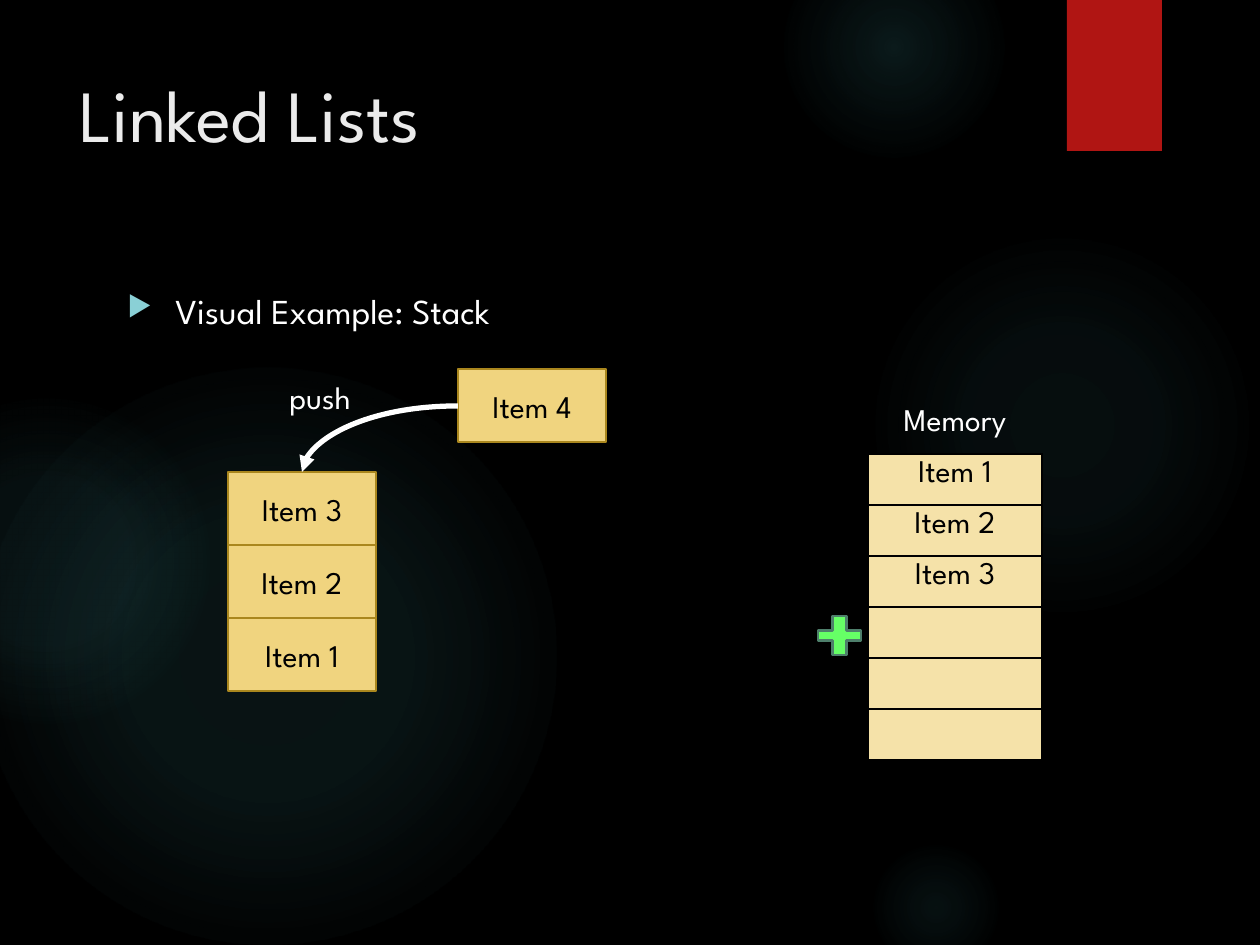
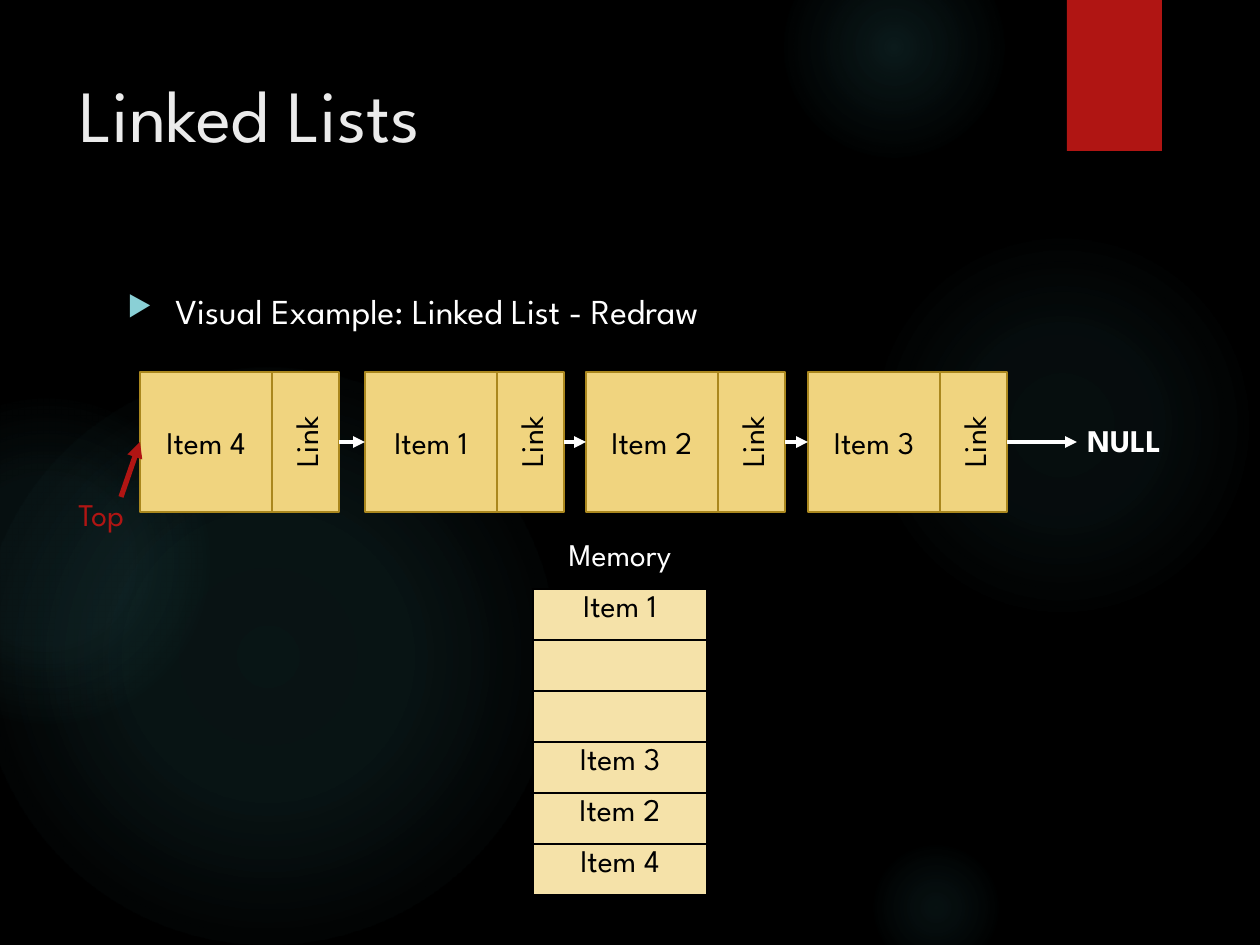
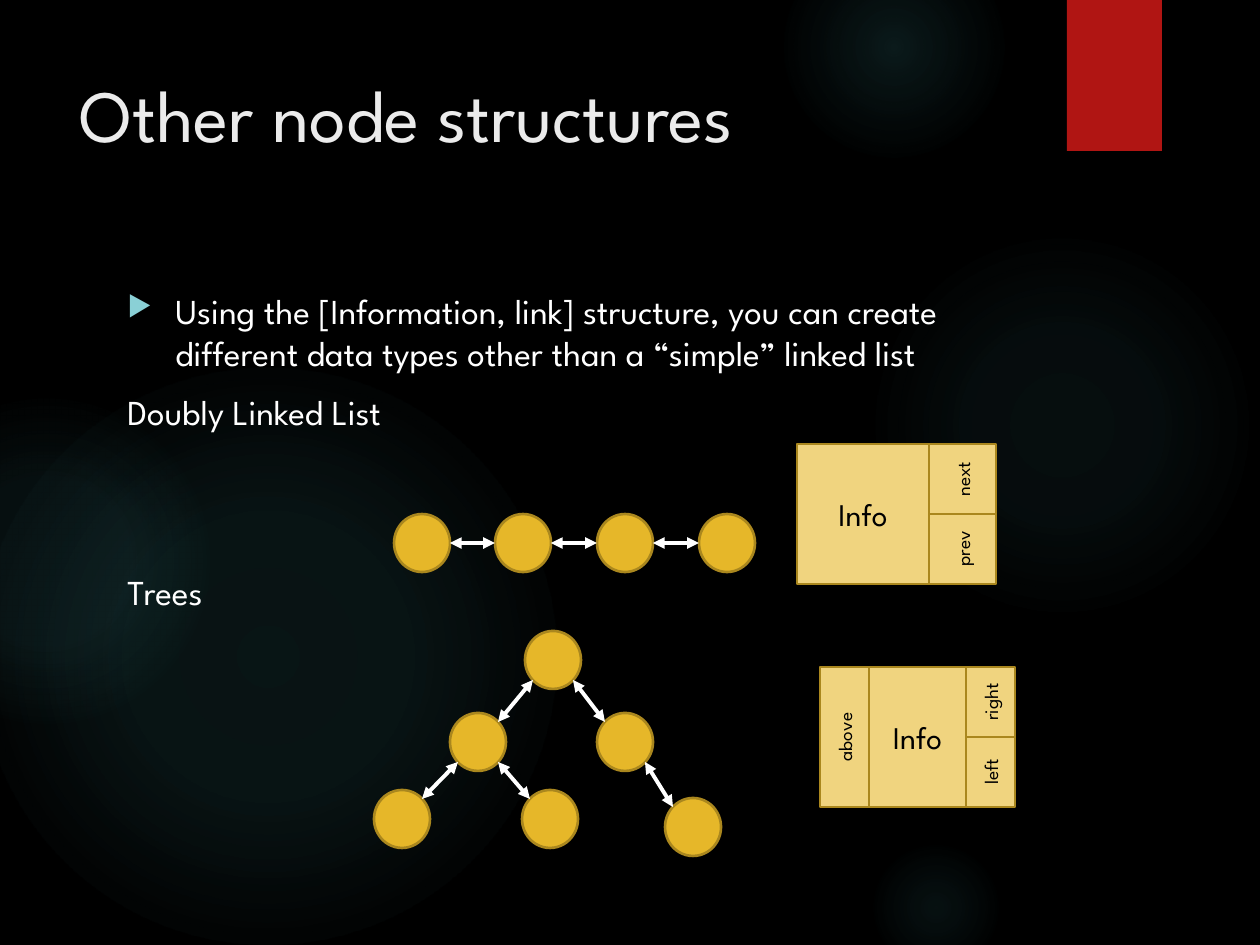
from dataclasses import dataclass

from pptx import Presentation
from pptx.dml.color import RGBColor
from pptx.enum.shapes import MSO_CONNECTOR as Link, MSO_SHAPE as Shape
from pptx.enum.text import MSO_ANCHOR as Anchor, PP_ALIGN as Align
from pptx.oxml import parse_xml
from pptx.oxml.ns import nsdecls
from pptx.util import Pt

EMU_PER_PX = 914400 / 126
NO_GRID_STYLE = "{2D5ABB26-0587-4C30-8999-92F81FD0307C}"


@dataclass(frozen=True)
class Theme:
    font: str = "League Spartan"
    background: str = "000000"
    glow: str = "50B9C1"
    accent: str = "B01513"
    title: str = "EBEBEB"
    light: str = "FFFFFF"
    dark: str = "000000"
    bullet: str = "8AD0D6"
    box: str = "F0D47F"
    memory: str = "F5E2A9"
    node: str = "E6B729"
    edge: str = "AA871E"
    plus: str = "66FF66"
    plus_edge: str = "4E7F6B"
    title_size: int = 42
    body_size: int = 20
    label_size: int = 18
    small_size: int = 11


THEME = Theme()

# left, top, diameter, then (position %, opacity %) of each gradient stop
GLOWS = [
    (868, 231, 388, [(0, 7), (36, 6), (69, 0)]),
    (784, -63, 220, [(0, 14), (36, 7), (73, 0)]),
    (868, 840, 136, [(0, 9), (36, 5), (66, 0)]),
    (-21, 368, 577, [(0, 11), (36, 10), (75, 0)]),
    (-116, 399, 325, [(0, 8), (36, 8), (72, 0)]),
]


def emu(*lengths):
    return [round(length * EMU_PER_PX) for length in lengths]


def rgb(code):
    return RGBColor.from_string(code)


def xml(tag, attributes="", content=""):
    return parse_xml(f"<a:{tag} {nsdecls('a')} {attributes}>{content}</a:{tag}>")


def color_xml(code):
    return f'<a:solidFill><a:srgbClr val="{code}"/></a:solidFill>'


def write(para, text, *, size=THEME.label_size, color=THEME.light, bold=False, align=Align.LEFT):
    para.alignment = align
    span = para.add_run()
    span.text = text
    span.font.name = THEME.font
    span.font.size = Pt(size)
    span.font.bold = bold
    span.font.color.rgb = rgb(color)


def add_bullet(para):
    indent, = emu(48)
    props = para._p.get_or_add_pPr()
    props.set("marL", str(indent))
    props.set("indent", str(-indent))
    props.append(xml("buClr", content=f'<a:srgbClr val="{THEME.bullet}"/>'))
    props.append(xml("buSzPct", 'val="80000"'))
    props.append(xml("buChar", 'char="▶"'))


class Painter:
    def __init__(self):
        self.deck = Presentation()
        self.deck.slide_width, self.deck.slide_height = emu(1260, 945)
        self.page = None

    def new_page(self, title):
        self.page = self.deck.slides.add_slide(self.deck.slide_layouts[6])
        fill = self.page.background.fill
        fill.solid()
        fill.fore_color.rgb = rgb(THEME.background)
        for glow in GLOWS:
            self.glow(*glow)
        self.shape(Shape.RECTANGLE, 1067, 0, 95, 151, THEME.accent)
        self.text(title, 67, 63, 973, 193, size=THEME.title_size, color=THEME.title)

    def shape(self, kind, left, top, width, height, fill=None, edge=None):
        shape = self.page.shapes.add_shape(kind, *emu(left, top, width, height))
        shape.shadow.inherit = False
        if fill:
            shape.fill.solid()
            shape.fill.fore_color.rgb = rgb(fill)
        if edge:
            shape.line.color.rgb = rgb(edge)
            shape.line.width = Pt(1.5)
        else:
            shape.line.fill.background()
        return shape

    def glow(self, left, top, diameter, stops):
        shape = self.shape(Shape.OVAL, left, top, diameter, diameter)
        stops_xml = "".join(
            f'<a:gs pos="{position * 1000}"><a:srgbClr val="{THEME.glow}">'
            f'<a:alpha val="{opacity * 1000}"/></a:srgbClr></a:gs>'
            for position, opacity in stops)
        center = '<a:fillToRect l="50000" t="50000" r="50000" b="50000"/>'
        shape._element.spPr.insert(2, xml(
            "gradFill", 'rotWithShape="1"',
            f'<a:gsLst>{stops_xml}</a:gsLst><a:path path="circle">{center}</a:path>'))

    def text_frame(self, left, top, width, height):
        frame = self.page.shapes.add_textbox(*emu(left, top, width, height)).text_frame
        frame.word_wrap = True
        return frame

    def text(self, text, left, top, width, height, **style):
        write(self.text_frame(left, top, width, height).paragraphs[0], text, **style)

    def body(self, bullet, *headings):
        """Write a bulleted line, then plain headings given as (text, points before)."""
        frame = self.text_frame(115, 283, 925, 578)
        para = frame.paragraphs[0]
        write(para, bullet, size=THEME.body_size)
        para.space_before = Pt(10)
        add_bullet(para)
        for heading, gap in headings:
            para = frame.add_paragraph()
            para.space_before = Pt(gap)
            write(para, heading, size=THEME.body_size)

    def box(self, text, left, top, width, height, size=THEME.label_size, upward=False):
        box = self.shape(Shape.RECTANGLE, left, top, width, height, THEME.box, THEME.edge)
        frame = box.text_frame
        frame.word_wrap = True
        frame.vertical_anchor = Anchor.MIDDLE
        if upward:
            frame._txBody.bodyPr.set("vert", "vert270")
        write(frame.paragraphs[0], text, size=size, color=THEME.dark, align=Align.CENTER)
        return box

    def node(self, left, top):
        self.shape(Shape.OVAL, left, top, NODE_WIDTH, NODE_HEIGHT, THEME.node, THEME.edge)

    def arrow(self, start, end, *, kind=Link.STRAIGHT, color=THEME.light, width=2.25,
              both=False, source=None, target=None):
        """Join the right side of source to the left side of target when they are given."""
        arrow = self.page.shapes.add_connector(kind, *emu(*start, *end))
        if source:
            arrow.begin_connect(source, 3)
        if target:
            arrow.end_connect(target, 1)
        arrow.line.color.rgb = rgb(color)
        arrow.line.width = Pt(width)
        line = arrow.line._get_or_add_ln()
        if both:
            line.append(xml("headEnd", 'type="triangle"'))
        line.append(xml("tailEnd", 'type="triangle"'))
        arrow._element.spPr.append(xml("effectLst"))
        return arrow

    def memory(self, left, top, items):
        """Draw the memory column, with an empty column on each side."""
        widths = (116, 174, 111)
        row_height = 51
        rows = ["Memory", *items]
        table = self.page.shapes.add_table(
            len(rows), len(widths),
            *emu(left, top, sum(widths), row_height * len(rows))).table
        table.first_row = table.horz_banding = False
        table._tbl.tblPr[0].text = NO_GRID_STYLE
        for column, width in zip(table.columns, emu(*widths)):
            column.width = width
        for number, text in enumerate(rows):
            table.rows[number].height, = emu(row_height)
            for column in (0, 2):
                table.cell(number, column).fill.background()
            cell = table.cell(number, 1)
            if number:
                props = cell._tc.get_or_add_tcPr()
                for side in "LRTB":
                    props.append(xml(f"ln{side}", 'w="12700"', color_xml(THEME.dark)))
                cell.fill.solid()
                cell.fill.fore_color.rgb = rgb(THEME.memory)
            else:
                cell.fill.background()
            if text:
                write(cell.text_frame.paragraphs[0], text, align=Align.CENTER,
                      color=THEME.dark if number else THEME.light)


NODE_WIDTH, NODE_HEIGHT = 56, 58
ITEM_WIDTH, LINK_WIDTH, RECORD_HEIGHT = 132, 67, 140


def stack_page(painter):
    painter.new_page("Linked Lists")
    painter.body("Visual Example: Stack")
    width, height = 148, 73
    for row, text in enumerate(["Item 3", "Item 2", "Item 1"]):
        painter.box(text, 228, 472 + row * height, width, height)
    painter.memory(752, 403, ["Item 1", "Item 2", "Item 3", "", "", ""])
    painter.box("Item 4", 458, 369, width, height)
    push = painter.arrow((458, 406), (302, 472), kind=Link.CURVE, width=3)
    push._element.spPr.prstGeom.set("prst", "curvedConnector2")
    painter.text("push", 277, 372, 155, 50)
    plus = painter.shape(Shape.CROSS, 818, 616, 43, 39, THEME.plus, THEME.plus_edge)
    plus.adjustments[0] = 0.37


def linked_list_page(painter):
    painter.new_page("Linked Lists")
    painter.body("Visual Example: Linked List - Redraw")
    painter.memory(417, 538, ["Item 1", "", "", "Item 3", "Item 2", "Item 4"])
    top = 372
    middle = top + RECORD_HEIGHT // 2
    link = None
    for text, left in [("Item 4", 140), ("Item 1", 365), ("Item 2", 586), ("Item 3", 808)]:
        item = painter.box(text, left, top, ITEM_WIDTH, RECORD_HEIGHT)
        if link:
            painter.arrow((left, middle), (left, middle), source=link, target=item)
        else:
            painter.arrow((121, 497), (left, middle), color=THEME.accent, width=3, target=item)
        link = painter.box("Link", left + ITEM_WIDTH, top, LINK_WIDTH, RECORD_HEIGHT, upward=True)
    painter.arrow((1008, middle), (1077, middle), source=link)
    painter.text("NULL", 1075, 415, 132, 50, bold=True)
    painter.text("Top", 66, 489, 96, 50, color=THEME.accent)


def doubly_linked_list(painter):
    top = 514
    middle = top + NODE_HEIGHT // 2
    lefts = [394 + step * 305 // 3 for step in range(4)]
    for left in lefts:
        painter.node(left, top)
    for left, following in zip(lefts, lefts[1:]):
        painter.arrow((left + NODE_WIDTH, middle), (following, middle), both=True)


def tree(painter):
    places = {"root": (525, 631), "left": (450, 713), "right": (597, 713),
              "left left": (374, 790), "left right": (522, 790), "right right": (665, 798)}
    parents = {"left": "root", "right": "root", "left left": "left",
               "left right": "left", "right right": "right"}
    for place in places.values():
        painter.node(*place)
    reach = 20
    for child, parent in parents.items():
        (child_x, child_y), (parent_x, parent_y) = [
            (left + NODE_WIDTH // 2, top + NODE_HEIGHT // 2)
            for left, top in (places[child], places[parent])]
        toward = reach if parent_x > child_x else -reach
        painter.arrow((child_x + toward, child_y - reach),
                      (parent_x - toward, parent_y + reach), both=True)


def record(painter, left, top, info_width, link_width, links):
    """Draw an Info box with its links stacked on the right."""
    painter.box("Info", left, top, info_width, RECORD_HEIGHT)
    height = RECORD_HEIGHT // len(links)
    for row, text in enumerate(links):
        painter.box(text, left + info_width, top + row * height, link_width, height,
                    size=THEME.small_size, upward=True)


def structures_page(painter):
    painter.new_page("Other node structures")
    painter.body("Using the [Information, link] structure, you can create "
                 "different data types other than a “simple” linked list",
                 ("Doubly Linked List", 10), ("Trees", 79))
    doubly_linked_list(painter)
    tree(painter)
    record(painter, 797, 444, ITEM_WIDTH, LINK_WIDTH, ["next", "prev"])
    record(painter, 869, 667, 97, 49, ["right", "left"])
    painter.box("above", 820, 667, 49, RECORD_HEIGHT, size=THEME.small_size, upward=True)


def main():
    painter = Painter()
    stack_page(painter)
    linked_list_page(painter)
    structures_page(painter)
    painter.deck.save("out.pptx")


if __name__ == "__main__":
    main()
